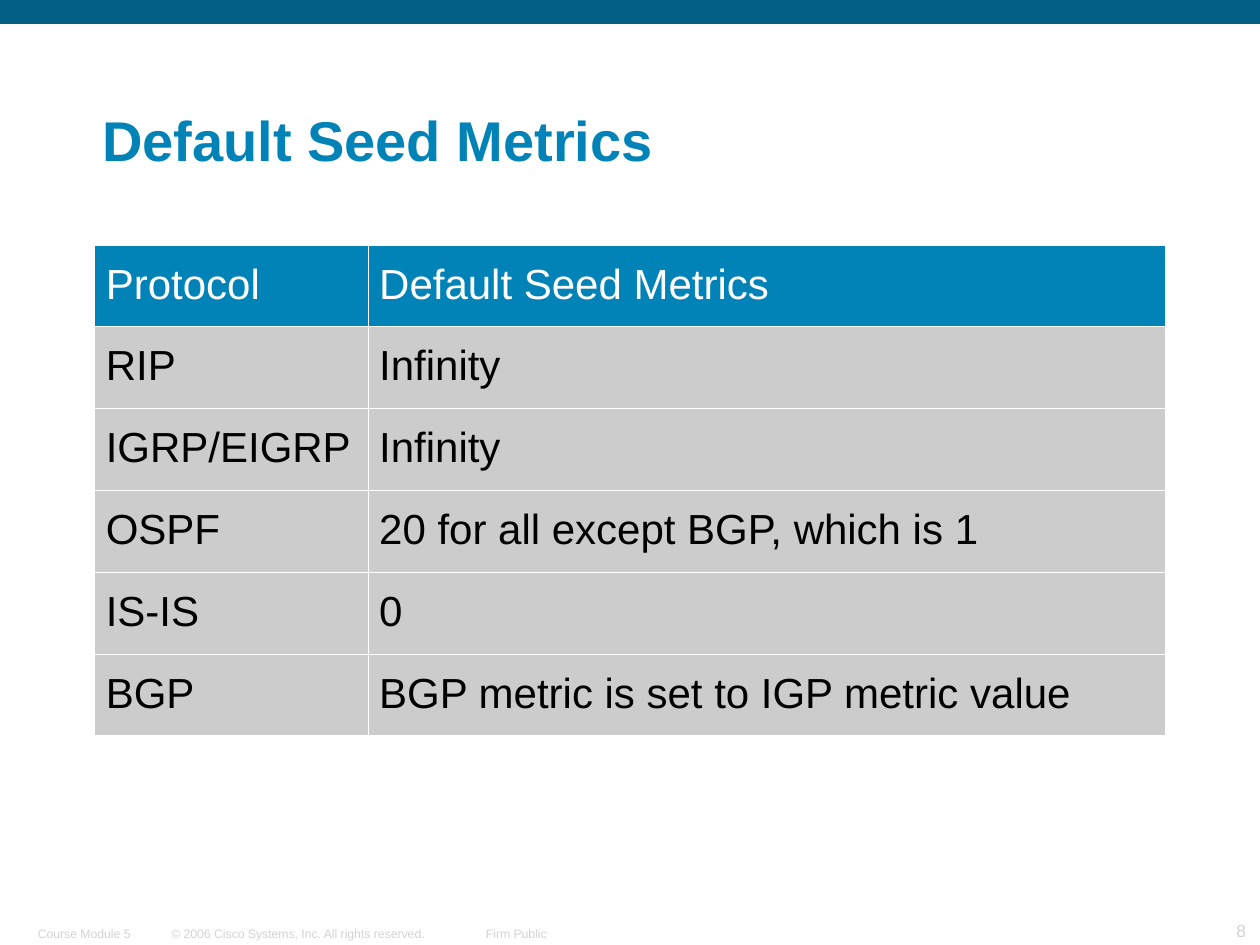
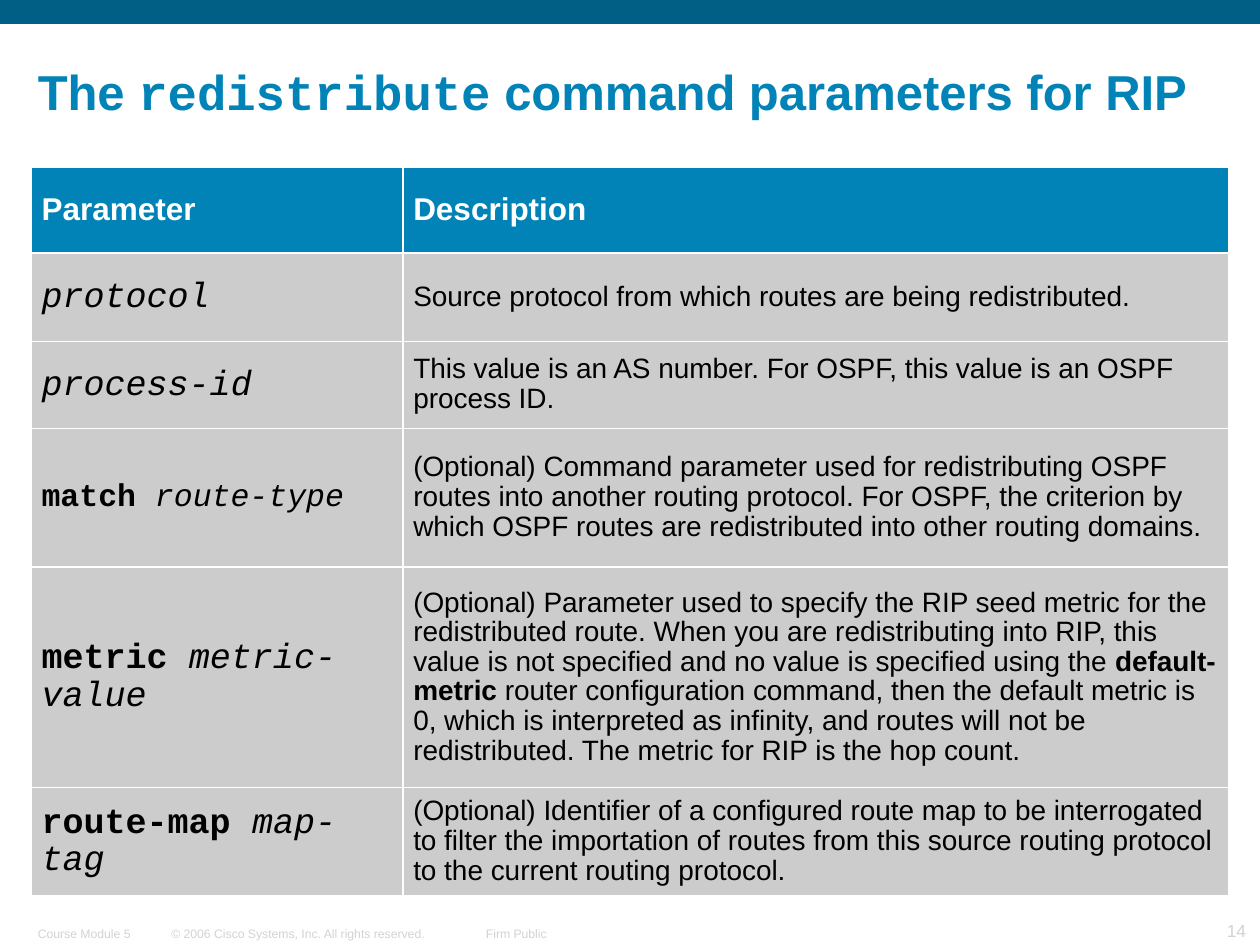
from dataclasses import dataclass

from lxml import etree
from pptx import Presentation
from pptx.dml.color import RGBColor
from pptx.enum.shapes import MSO_SHAPE
from pptx.enum.text import MSO_ANCHOR, PP_ALIGN
from pptx.oxml.ns import qn
from pptx.util import Inches, Pt

RECTANGLE = MSO_SHAPE.RECTANGLE
BOTTOM, MIDDLE = MSO_ANCHOR.BOTTOM, MSO_ANCHOR.MIDDLE
LEFT, RIGHT = PP_ALIGN.LEFT, PP_ALIGN.RIGHT


@dataclass(frozen=True)
class Theme:
    band: str = "015F85"
    accent: str = "0183B7"
    cell: str = "CCCCCC"
    footer: str = "D3D3D3"
    white: str = "FFFFFF"
    black: str = "000000"
    sans: str = "Arial"
    mono: str = "Courier New"
    footer_size: int = 7
    number_size: int = 10
    description_size: int = 16
    header_size: int = 18
    parameter_size: int = 20
    protocol_size: int = 24


THEME = Theme()


def write(frame, text, *, size, color=THEME.black, font=THEME.sans, bold=False,
          italic=False, align=LEFT, anchor=MIDDLE, spacing=1.0, wrap=True):
    """Text is a string, or a list of (string, format changes) runs."""
    frame.word_wrap = wrap
    frame.vertical_anchor = anchor
    paragraph = frame.paragraphs[0]
    paragraph.alignment = align
    paragraph.line_spacing = spacing
    for words, changes in [(text, {})] if isinstance(text, str) else text:
        look = {"name": font, "bold": bold, "italic": italic} | changes
        run = paragraph.add_run()
        run.text = words
        run.font.size = Pt(size)
        run.font.color.rgb = RGBColor.from_string(color)
        run.font.name = look["name"]
        run.font.bold = look["bold"]
        run.font.italic = look["italic"]


def add_text_box(slide, place, text, **style):
    frame = slide.shapes.add_textbox(*map(Inches, place)).text_frame
    frame.margin_left = frame.margin_right = Inches(0.09)
    frame.margin_top = frame.margin_bottom = Inches(0.04)
    write(frame, text, anchor=BOTTOM, **style)


# Run formats
CODE = {"name": THEME.mono}
KEYWORD = CODE | {"bold": True}
VARIABLE = CODE | {"italic": True}
STRONG = {"bold": True}

# Footer: place, words, alignment, wrapping
FOOTER = [
    ((1.27, 7.3, 2.2, 0.21), "© 2006 Cisco Systems, Inc. All rights reserved.", LEFT, False),
    ((3.72, 7.3, 0.71, 0.21), "Firm Public", RIGHT, False),
    ((0.21, 7.3, 1.05, 0.21), "Course Module 5", LEFT, True),
]

# Table contents: each row is its text and the type size of each column
SEED_METRICS = [
    ("Protocol", "Default Seed Metrics"),
    ("RIP", "Infinity"),
    ("IGRP/EIGRP", "Infinity"),
    ("OSPF", "20 for all except BGP, which is 1"),
    ("IS-IS", "0"),
    ("BGP", "BGP metric is set to IGP metric value"),
]
SEED_ROWS = [(row, (THEME.protocol_size,) * 2) for row in SEED_METRICS]

HEADER_SIZES = (THEME.header_size,) * 2
BODY_SIZES = (THEME.parameter_size, THEME.description_size)
MATCH_SIZES = (THEME.header_size, THEME.description_size)
PARAMETER_ROWS = [
    (("Parameter", "Description"), HEADER_SIZES),
    (([("protocol", VARIABLE)],
      "Source protocol from which routes are being redistributed."), BODY_SIZES),
    (([("process-id", VARIABLE)],
      "This value is an AS number. For OSPF, this value is an OSPF process ID."), BODY_SIZES),
    (([("match", KEYWORD), (" route-type", VARIABLE)],
      "(Optional) Command parameter used for redistributing OSPF routes into another "
      "routing protocol. For OSPF, the criterion by which OSPF routes are redistributed "
      "into other routing domains."), MATCH_SIZES),
    (([("metric ", KEYWORD), ("metric-value", VARIABLE)],
      [("(Optional) Parameter used to specify the RIP seed metric for the redistributed "
        "route. When you are redistributing into RIP, this value is not specified and no "
        "value is specified using the ", {}),
       ("default-metric", STRONG),
       (" router configuration command, then the default metric is 0, which is "
        "interpreted as infinity, and routes will not be redistributed. The metric for "
        "RIP is the hop count.", {})]), BODY_SIZES),
    (([("route-map ", KEYWORD), ("map-tag", VARIABLE)],
      "(Optional) Identifier of a configured route map to be interrogated to filter the "
      "importation of routes from this source routing protocol to the current routing "
      "protocol."), BODY_SIZES),
]

PAGES = [
    {"number": "8", "title": "Default Seed Metrics",
     "title_place": (0.72, 0.5, 8.91, 0.92), "title_size": 32,
     "rows": SEED_ROWS, "table_place": (0.75, 1.95, 8.5, 3.89),
     "widths": [2.17, 6.33], "heights": [0.64] + [0.65] * 5,
     "side_margin": 0.09, "border": 0.45, "bold_header": False},
    {"number": "14",
     "title": [("The ", {}), ("redistribute", CODE), (" command parameters for RIP", {})],
     "title_place": (0.21, 0.08, 9.63, 0.92), "title_size": 28,
     "rows": PARAMETER_ROWS, "table_place": (0.25, 1.33, 9.5, 5.76),
     "widths": [2.95, 6.55], "heights": [0.68, 0.7, 0.69, 1.1, 1.75, 0.84],
     "side_margin": 0.08, "border": 1.08, "bold_header": True},
]

deck = Presentation()
deck.slide_width, deck.slide_height = Inches(10), Inches(7.5)
blank_layout = deck.slide_layouts[6]

for page in PAGES:
    slide = deck.slides.add_slide(blank_layout)

    # Top band
    band = slide.shapes.add_shape(RECTANGLE, 0, 0, deck.slide_width, Inches(0.19))
    band.shadow.inherit = False
    band.fill.solid()
    band.fill.fore_color.rgb = RGBColor.from_string(THEME.band)
    band.line.fill.background()

    # Footer and slide number
    for place, words, align, wrap in FOOTER:
        add_text_box(slide, place, words, size=THEME.footer_size, color=THEME.footer,
                     align=align, wrap=wrap)
    add_text_box(slide, (9.17, 7.25, 0.81, 0.26), page["number"],
                 size=THEME.number_size, color=THEME.footer, align=RIGHT)

    # Title
    add_text_box(slide, page["title_place"], page["title"], size=page["title_size"],
                 color=THEME.accent, bold=True, spacing=0.9)

    # Table
    table = slide.shapes.add_table(len(page["rows"]), len(page["widths"]),
                                   *map(Inches, page["table_place"])).table
    for column, width in zip(table.columns, page["widths"]):
        column.width = Inches(width)
    for row, height in zip(table.rows, page["heights"]):
        row.height = Inches(height)

    for r, (texts, sizes) in enumerate(page["rows"]):
        is_header = r == 0
        for c, (text, size) in enumerate(zip(texts, sizes)):
            cell = table.cell(r, c)
            cell.fill.solid()
            cell.fill.fore_color.rgb = RGBColor.from_string(
                THEME.accent if is_header else THEME.cell)
            cell.margin_left = cell.margin_right = Inches(page["side_margin"])
            cell.margin_top = cell.margin_bottom = Inches(0.05)
            write(cell.text_frame, text, size=size, spacing=0.95,
                  color=THEME.white if is_header else THEME.black,
                  bold=is_header and page["bold_header"])
            cell.vertical_anchor = MIDDLE

            # Cell borders come before the fill in the cell properties
            properties = cell._tc.get_or_add_tcPr()
            for position, side in enumerate(("a:lnL", "a:lnR", "a:lnT", "a:lnB")):
                border = etree.Element(qn(side), w=str(Pt(page["border"])))
                border_fill = etree.SubElement(border, qn("a:solidFill"))
                etree.SubElement(border_fill, qn("a:srgbClr"), val=THEME.white)
                properties.insert(position, border)

deck.save("out.pptx")
